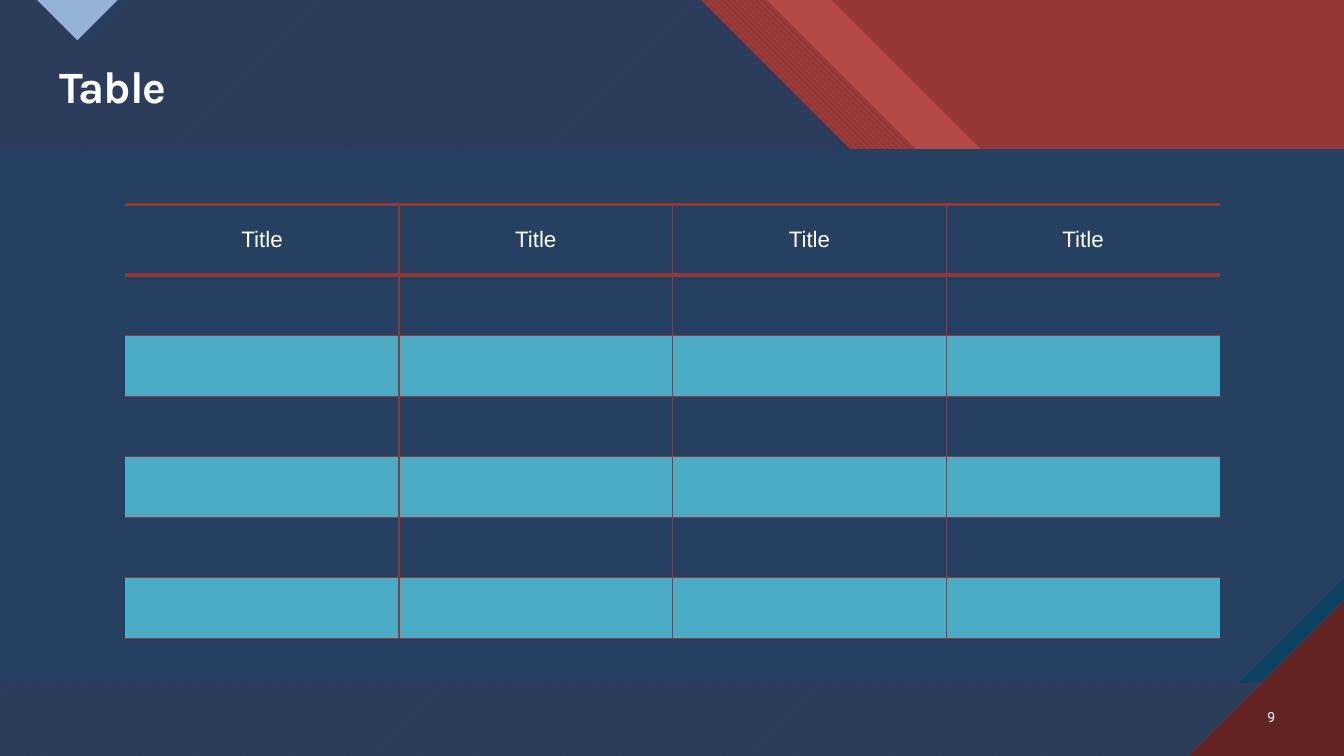
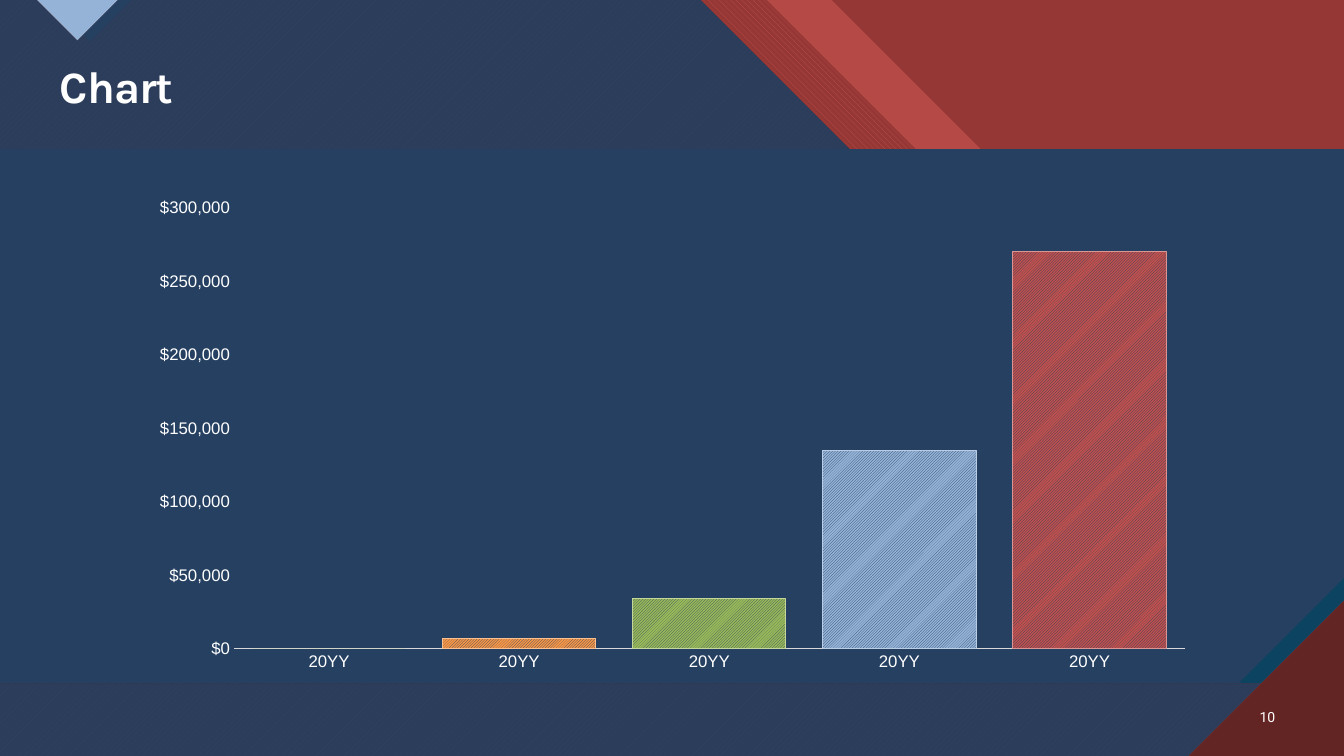
from lxml.etree import SubElement, Element
from pptx import Presentation
from pptx.chart.data import CategoryChartData
from pptx.dml.color import RGBColor
from pptx.enum.chart import XL_CHART_TYPE as ChartType, XL_TICK_MARK as TickMark
from pptx.enum.dml import MSO_PATTERN as Pattern
from pptx.enum.shapes import MSO_SHAPE as Preset
from pptx.enum.text import MSO_ANCHOR as Anchor, MSO_AUTO_SIZE as AutoSize, PP_ALIGN as Align
from pptx.oxml.ns import qn
from pptx.util import Pt

WIDTH, HEIGHT = 960, 540
NAVY, RED, BRICK, MAROON = "254061", "C0504D", "953735", "632523"
TEAL, DEEP_TEAL, SKY, WHITE = "4BACC6", "0C4360", "95B3D7", "FFFFFF"
ORANGE, GREEN, GREY = "F79646", "9BBB59", "D9D9D9"
TITLE_BOX = (35.5, 42.5, 882.5, 42.5)
NUMBER_BOX = (886.5, 497.5, 31.5, 29)
TABLE_BOX = (89.5, 146, 782, 310)
CHART_BOX = (98.5, 134.5, 763, 350)
BAND_BOX = (0, 106.5, WIDTH, 381.5)


def colour(value):
    return RGBColor.from_string(value)


def points(box):
    return [Pt(length) for length in box]


def fill_solid(fill, value):
    fill.solid()
    fill.fore_color.rgb = colour(value)


def fill_pattern(fill, pattern, front, back):
    fill.patterned()
    fill.pattern = pattern
    fill.fore_color.rgb = colour(front)
    fill.back_color.rgb = colour(back)


def dress(shape, front, back=None, pattern=None, opacity=None):
    shape.shadow.inherit = False
    shape.line.fill.background()
    if pattern:
        fill_pattern(shape.fill, pattern, front, back)
    else:
        fill_solid(shape.fill, front)
    if opacity:
        value = shape.element.spPr.find(".//" + qn("a:srgbClr"))
        SubElement(value, qn("a:alpha"), val=str(opacity * 1000))


def write(frame, text, font="Arial", size=16, bold=False, align=Align.LEFT, line=None):
    frame.word_wrap = True
    frame.vertical_anchor = Anchor.MIDDLE
    paragraph = frame.paragraphs[0]
    paragraph.alignment = align
    paragraph.line_spacing = line
    run = paragraph.add_run()
    run.text = text
    run.font.name = font
    run.font.size = Pt(size)
    run.font.bold = bold
    run.font.color.rgb = colour(WHITE)


def polygon(slide, corners, *fill, **format):
    corners = [points(corner) for corner in corners]
    builder = slide.shapes.build_freeform(*corners[0], scale=1.0)
    builder.add_line_segments(corners[1:], close=True)
    dress(builder.convert_to_shape(), *fill, **format)


def slanted_panel(slide, left, top_edge, lower_edge, *fill, **format):
    step = 214
    corners = [(left, 0), (top_edge, 0), (top_edge + step, step), (lower_edge, step),
               (WIDTH, step + WIDTH - lower_edge), (WIDTH, HEIGHT), (left, HEIGHT)]
    polygon(slide, corners, *fill, **format)


def pointer(slide, left, width, *fill, **format):
    corners = [(left, 0), (left + width / 2, width / 2), (left + width, 0)]
    polygon(slide, corners, *fill, **format)


def body_band(slide, box):
    back = slide.shapes.add_shape(Preset.RECTANGLE, *points(box))
    dress(back, DEEP_TEAL, MAROON, Pattern.DARK_VERTICAL)
    front = slide.shapes.add_shape(Preset.SNIP_1_RECTANGLE, *points(box))
    front.adjustments[0] = 0.197
    front.element.spPr.find(qn("a:xfrm")).set("flipV", "1")
    dress(front, NAVY)


def backdrop(slide):
    base = slide.shapes.add_shape(Preset.RECTANGLE, *points((0, 0, WIDTH, HEIGHT)))
    dress(base, BRICK)
    slanted_panel(slide, 0, 594, 888.5, RED, opacity=74)
    slanted_panel(slide, 47.5, 547.5, 852.5, RED, BRICK, Pattern.WIDE_DOWNWARD_DIAGONAL)
    slanted_panel(slide, 0, 500.5, 805, RED, MAROON, Pattern.WIDE_UPWARD_DIAGONAL)
    slanted_panel(slide, 0, 500.5, 805, NAVY, opacity=90)
    pointer(slide, 34.5, 59.5, NAVY)
    pointer(slide, 26.5, 57.5, SKY, MAROON, Pattern.DARK_HORIZONTAL)
    body_band(slide, BAND_BOX)
    corner = 111
    polygon(slide, [(WIDTH - corner, HEIGHT), (WIDTH, HEIGHT), (WIDTH, HEIGHT - corner)],
            MAROON, RED, Pattern.DARK_HORIZONTAL)


def share_backdrop(presentation, layout):
    fill_solid(layout.background.fill, RED)
    slide = presentation.slides.add_slide(layout)
    backdrop(slide)
    for number, shape in enumerate(list(slide.shapes)[1:], 100):
        shape.element.find(".//" + qn("p:cNvPr")).set("id", str(number))
        layout.shapes.element.append(shape.element)
    return slide


def headings(slide, title_text, number):
    title = slide.shapes.title
    title.left, title.top, title.width, title.height = points(TITLE_BOX)
    write(title.text_frame, title_text, font="Karla", size=32, bold=True, line=0.9)
    title.text_frame.auto_size = AutoSize.NONE
    for properties in title.element.iter(qn("a:rPr")):
        properties.set("spc", "-70")
    box = slide.shapes.add_textbox(*points(NUMBER_BOX))
    write(box.text_frame, str(number), font="Roboto", size=10, align=Align.RIGHT)


def cell_borders(element, left, right, top, bottom):
    properties = element.get_or_add_tcPr()
    for index, (side, width) in enumerate(zip("LRTB", (left, right, top, bottom))):
        line = Element(qn("a:ln" + side), w=str(Pt(width)))
        if width:
            paint = SubElement(line, qn("a:solidFill"))
            SubElement(paint, qn("a:srgbClr"), val=BRICK)
        else:
            SubElement(line, qn("a:noFill"))
        properties.insert(index, line)


def table_region(slide, box, titles, body_rows):
    column_count = len(titles)
    header_height = 50.5
    frame = slide.shapes.add_table(body_rows + 1, column_count, *points(box))
    table = frame.table
    table.first_row = table.horz_banding = False
    for column in table.columns:
        column.width = Pt(box[2] / column_count)
    for row in table.rows:
        row.height = Pt((box[3] - header_height) / body_rows)
    table.rows[0].height = Pt(header_height)
    elements = frame.element.iter(qn("a:tc"))
    for index, (cell, element) in enumerate(zip(table.iter_cells(), elements)):
        row, column = divmod(index, column_count)
        if row and row % 2 == 0:
            fill_solid(cell.fill, TEAL)
        else:
            cell.fill.background()
        if row == 0:
            write(cell.text_frame, titles[column], align=Align.CENTER)
            cell.vertical_anchor = Anchor.MIDDLE
        cell_borders(element, int(column > 0), int(column < column_count - 1),
                     3 if row < 2 else 1, 3 if row == 0 else 1)


def place_plot(chart, **fractions):
    plot_area = chart.element.find(".//" + qn("c:plotArea"))
    for old in plot_area.findall(qn("c:layout")):
        plot_area.remove(old)
    layout = Element(qn("c:layout"))
    manual = SubElement(layout, qn("c:manualLayout"))
    settings = {"layoutTarget": "inner", "xMode": "edge", "yMode": "edge", **fractions}
    for name, value in settings.items():
        SubElement(manual, qn("c:" + name), val=str(value))
    plot_area.insert(0, layout)


def style_axis(axis):
    axis.has_major_gridlines = False
    axis.major_tick_mark = axis.minor_tick_mark = TickMark.NONE
    font = axis.tick_labels.font
    font.name = "Arial"
    font.size = Pt(12)
    font.color.rgb = colour(WHITE)


def chart_region(slide, box, categories, values, bar_colours):
    data = CategoryChartData()
    data.categories = categories
    data.add_series("Series 1", values)
    chart = slide.shapes.add_chart(ChartType.COLUMN_CLUSTERED, *points(box), data).chart
    chart.has_legend = chart.has_title = False
    chart.font.name = "Arial"
    chart.font.size = Pt(10)
    place_plot(chart, x=0.09, y=0.04, w=0.89, h=0.9)

    category_axis, value_axis = chart.category_axis, chart.value_axis
    style_axis(category_axis)
    category_axis.format.line.color.rgb = colour(GREY)
    category_axis.format.line.width = Pt(0.75)
    style_axis(value_axis)
    value_axis.format.line.fill.background()
    value_axis.minimum_scale, value_axis.maximum_scale = 0, 300000
    value_axis.major_unit = 50000
    value_axis.tick_labels.number_format = "[$$-409]#,##0"
    value_axis.tick_labels.number_format_is_linked = False

    plot = chart.plots[0]
    plot.vary_by_categories = False
    plot.gap_width = 24
    series = plot.series[0]
    fill_solid(series.format.fill, GREEN)
    for index, (back, outline) in enumerate(bar_colours, 1):
        bar = series.points[index].format
        fill_pattern(bar.fill, Pattern.LIGHT_UPWARD_DIAGONAL, NAVY, back)
        bar.line.color.rgb = colour(outline)
        bar.line.width = Pt(0.75)


def main():
    presentation = Presentation()
    presentation.slide_width, presentation.slide_height = Pt(WIDTH), Pt(HEIGHT)
    layout = presentation.slide_layouts[5]

    table_slide = share_backdrop(presentation, layout)
    headings(table_slide, "Table", 9)
    table_region(table_slide, TABLE_BOX, ["Title"] * 4, 6)

    chart_slide = presentation.slides.add_slide(layout)
    headings(chart_slide, "Chart", 10)
    chart_region(chart_slide, CHART_BOX, ["20YY"] * 5, [0, 7000, 34000, 135000, 270000],
                 [(ORANGE, "FAC090"), (GREEN, "C3D69B"), (SKY, "B9CDE5"), (RED, "D99694")])

    presentation.save("out.pptx")


if __name__ == "__main__":
    main()
